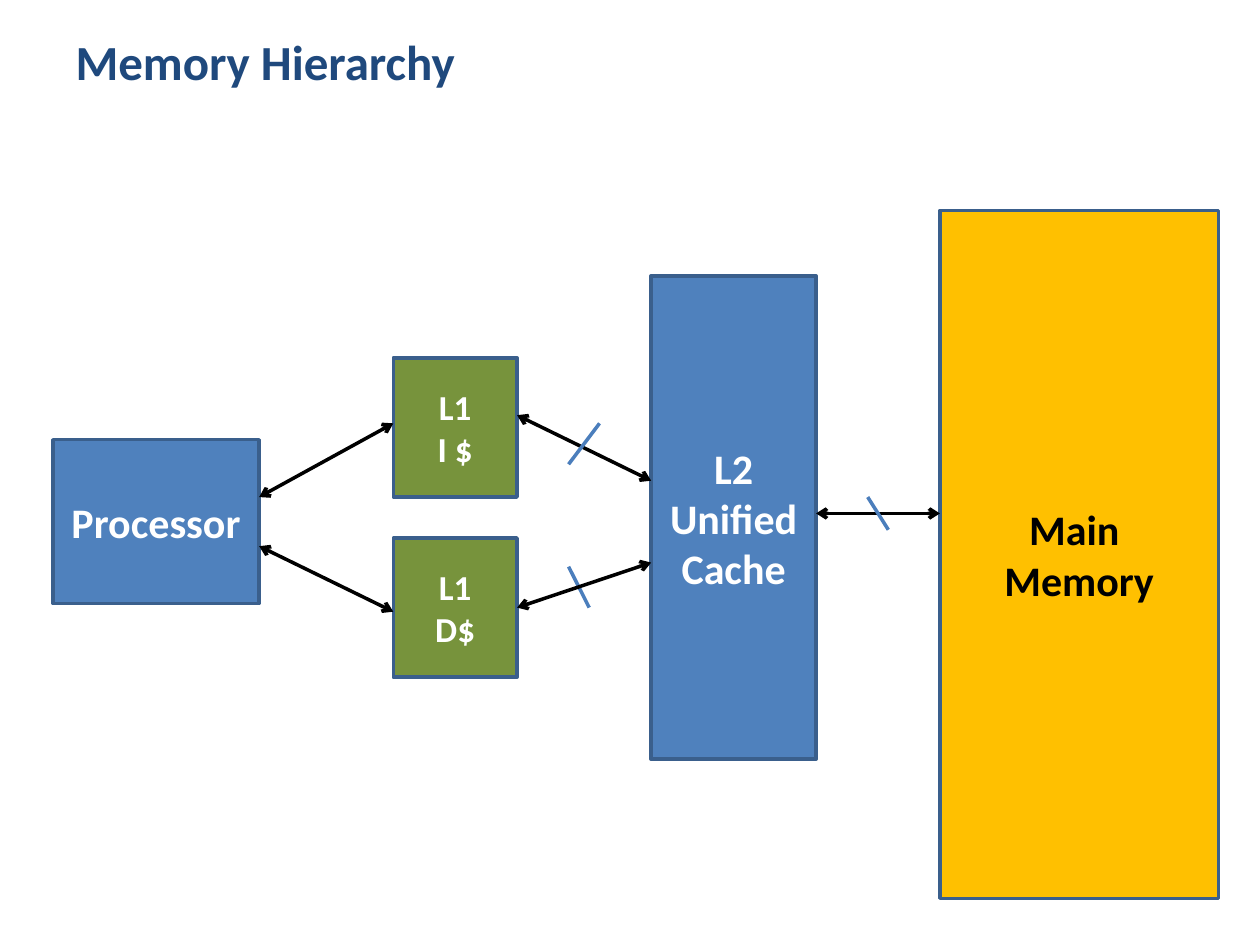
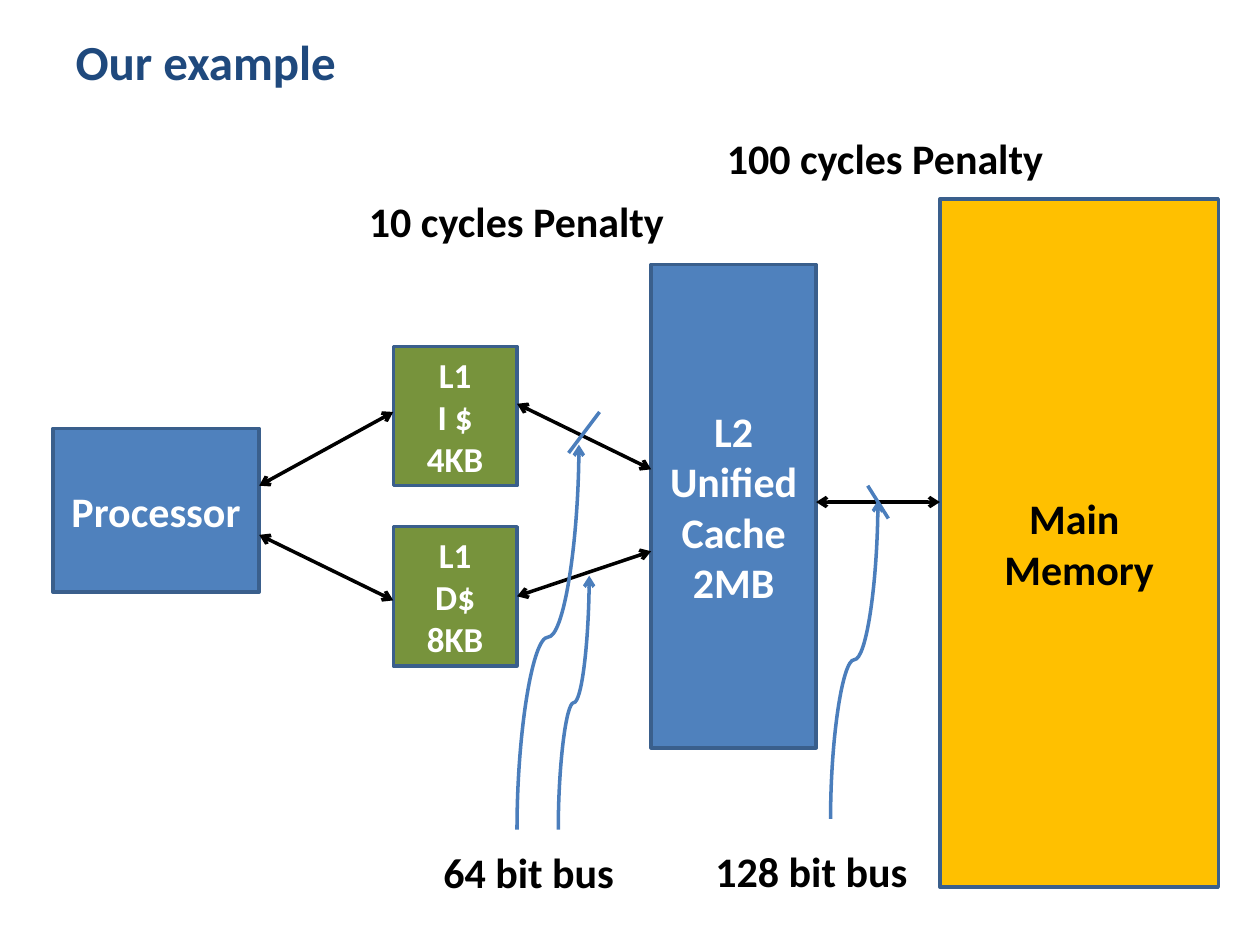
"""Builds two slides that show a processor's memory hierarchy."""
from lxml import etree
from pptx import Presentation
from pptx.dml.color import RGBColor
from pptx.enum.shapes import MSO_CONNECTOR, MSO_SHAPE
from pptx.enum.text import MSO_ANCHOR, MSO_AUTO_SIZE, PP_ALIGN
from pptx.oxml.ns import qn
from pptx.util import Inches, Pt

STRAIGHT, CURVE = MSO_CONNECTOR.STRAIGHT, MSO_CONNECTOR.CURVE
RECTANGLE = MSO_SHAPE.RECTANGLE
LEFT, CENTER = PP_ALIGN.LEFT, PP_ALIGN.CENTER
MIDDLE = MSO_ANCHOR.MIDDLE

FONT = "Calibri"
COLORS = {
    "title": "1F497D", "blue": "4F81BD", "green": "77933C", "amber": "FFC000",
    "border": "3A5F8C", "mark": "4B7EBC", "black": "000000", "white": "FFFFFF",
}

# The diagram lies on a grid: 56.5 columns span 9.25 inches.
GRID_LEFT = 0.42
COLUMN = 9.25 / 56.5
ROW = 0.13

# name: (column, row, columns, rows), fill, text colour, text size, lines
BOXES = {
    "processor": ((0, 14, 10, 10), "blue", "white", 24, ["Processor"]),
    "instructions": ((16.5, 9, 6, 8.5), "green", "white", 20, ["L1", "I $"]),
    "level 2": ((29, 4, 8, 29.5), "blue", "white", 24,
                ["L2", "Unified", "Cache"]),
    "data": ((16.5, 20, 6, 8.5), "green", "white", 20, ["L1", "D$"]),
    "memory": ((43, 0, 13.5, 42), "amber", "black", 24, ["Main ", "Memory"]),
}
# from box, row, to box, row
LINKS = [
    ("processor", 17.5, "instructions", 13),
    ("processor", 20.5, "data", 24.5),
    ("data", 24.25, "level 2", 21.5),
    ("instructions", 12.5, "level 2", 16.5),
    ("level 2", 18.5, "memory", 18.5),
]
# Bus marks and pointers run from (column, row) to (column, row).
BUS_MARKS = [((39.5, 17.5), (40.5, 19.5)), ((26.5, 13), (25, 15.5))]
DATA_BUS_MARK = ((25, 21.75), (26, 24.25))

SLIDES = [
    {"title": "Memory Hierarchy ", "top": 1.67, "sizes": {},
     "back marks": [DATA_BUS_MARK], "pointers": [], "labels": []},
    {"title": "Our example", "top": 1.58,
     "sizes": {"instructions": "4KB", "data": "8KB", "level 2": "2MB"},
     "back marks": [],
     "pointers": [((37.7, 37.85), (40, 18.4)),
                  ((24.5, 38.5), (26, 23)),
                  ((22.5, 38.5), (25.5, 15))],
     "labels": [("10 cycles Penalty", 2.83, 1.5, 2.57),
                ("100 cycles Penalty", 5.67, 1, 2.74),
                ("64 bit bus", 3.42, 6.67, 1.57),
                ("128 bit bus", 5.58, 6.66, 1.74)]},
]


def color(name):
    """Return the named colour."""
    return RGBColor.from_string(COLORS[name])


def write(frame, lines, size, color_name, align):
    """Fill a text frame with one bold paragraph per line."""
    frame.text = "\n".join(lines)
    for para in frame.paragraphs:
        para.alignment = align
        para.font.name, para.font.size, para.font.bold = FONT, Pt(size), True
        para.font.color.rgb = color(color_name)


def place(point, top):
    """Turn a grid point into inches on the slide."""
    return GRID_LEFT + point[0] * COLUMN, top + point[1] * ROW


def draw_box(group, name, top, size_label):
    """Draw one memory level, with its size when there is one."""
    (col, row, cols, rows), fill, ink, size, lines = BOXES[name]
    x, y = place((col, row), top)
    box = group.shapes.add_shape(RECTANGLE, Inches(x), Inches(y),
                                 Inches(cols * COLUMN), Inches(rows * ROW))
    box.shadow.inherit = False
    box.fill.solid()
    box.fill.fore_color.rgb = color(fill)
    box.line.color.rgb = color("border")
    box.line.width = Pt(2)
    box.text_frame.vertical_anchor = MIDDLE
    extra = [size_label] if size_label else []
    write(box.text_frame, lines + extra, size, ink, CENTER)


def draw_line(group, kind, start, end, color_name, arrows=()):
    """Draw a connector; arrows names the ends that carry a head."""
    line = group.shapes.add_connector(
        kind, *(Inches(value) for value in (*start, *end)))
    line.line.color.rgb = color(color_name)
    line.line.width = Pt(2)
    for tag in arrows:
        etree.SubElement(line.line._get_or_add_ln(), qn(tag), type="arrow")
    properties = line._element.spPr
    etree.SubElement(properties, qn("a:effectLst"))
    return line


def draw_link(group, link, top):
    """Join the right side of one box to the left side of another."""
    first, first_row, second, second_row = link
    col, _, cols, _ = BOXES[first][0]
    start = place((col + cols, first_row), top)
    end = place((BOXES[second][0][0], second_row), top)
    draw_line(group, STRAIGHT, start, end, "black", ("a:headEnd", "a:tailEnd"))


def draw_pointer(group, start, end):
    """Draw an upright curve: a level one, turned a quarter about its centre."""
    middle_x, middle_y = (start[0] + end[0]) / 2, (start[1] + end[1]) / 2
    half_run, half_rise = (end[0] - start[0]) / 2, (start[1] - end[1]) / 2
    curve = draw_line(group, CURVE,
                      (middle_x + half_rise, middle_y + half_run),
                      (middle_x - half_rise, middle_y - half_run),
                      "mark", ("a:tailEnd",))
    curve._element.spPr.find(qn("a:xfrm")).set("rot", str(90 * 60000))


def draw_marks(group, marks, top):
    """Draw the short strokes that mark a bus."""
    for start, end in marks:
        draw_line(group, STRAIGHT, place(start, top), place(end, top), "mark")


def draw_label(page, text, x, y, width):
    """Add a one-line label."""
    label = page.shapes.add_textbox(Inches(x), Inches(y), Inches(width),
                                    Inches(0.5))
    label.text_frame.word_wrap = False
    label.text_frame.auto_size = MSO_AUTO_SIZE.SHAPE_TO_FIT_TEXT
    write(label.text_frame, [text], 24, "black", LEFT)


def build_slide(deck, layout, content):
    """Add one slide: title, diagram and labels."""
    page = deck.slides.add_slide(layout)
    title = page.shapes.title
    title.text_frame.vertical_anchor = MIDDLE
    write(title.text_frame, [content["title"]], 28, "title", LEFT)

    top = content["top"]
    group = page.shapes.add_group_shape()
    draw_marks(group, content["back marks"], top)
    for name in BOXES:
        draw_box(group, name, top, content["sizes"].get(name))
    for link in LINKS:
        draw_link(group, link, top)
    draw_marks(group, BUS_MARKS, top)
    for start, end in content["pointers"]:
        draw_pointer(group, place(start, top), place(end, top))
    for label in content["labels"]:
        draw_label(page, *label)


def main():
    """Build the deck and save it."""
    deck = Presentation()
    deck.slide_width, deck.slide_height = Inches(10), Inches(7.5)
    layout = deck.slide_layouts.get_by_name("Title Only")
    heading = layout.placeholders[0]
    heading.left, heading.top = Inches(0.5), Inches(0.17)
    heading.width, heading.height = Inches(9), Inches(0.62)
    for content in SLIDES:
        build_slide(deck, layout, content)
    deck.save("out.pptx")


main()
